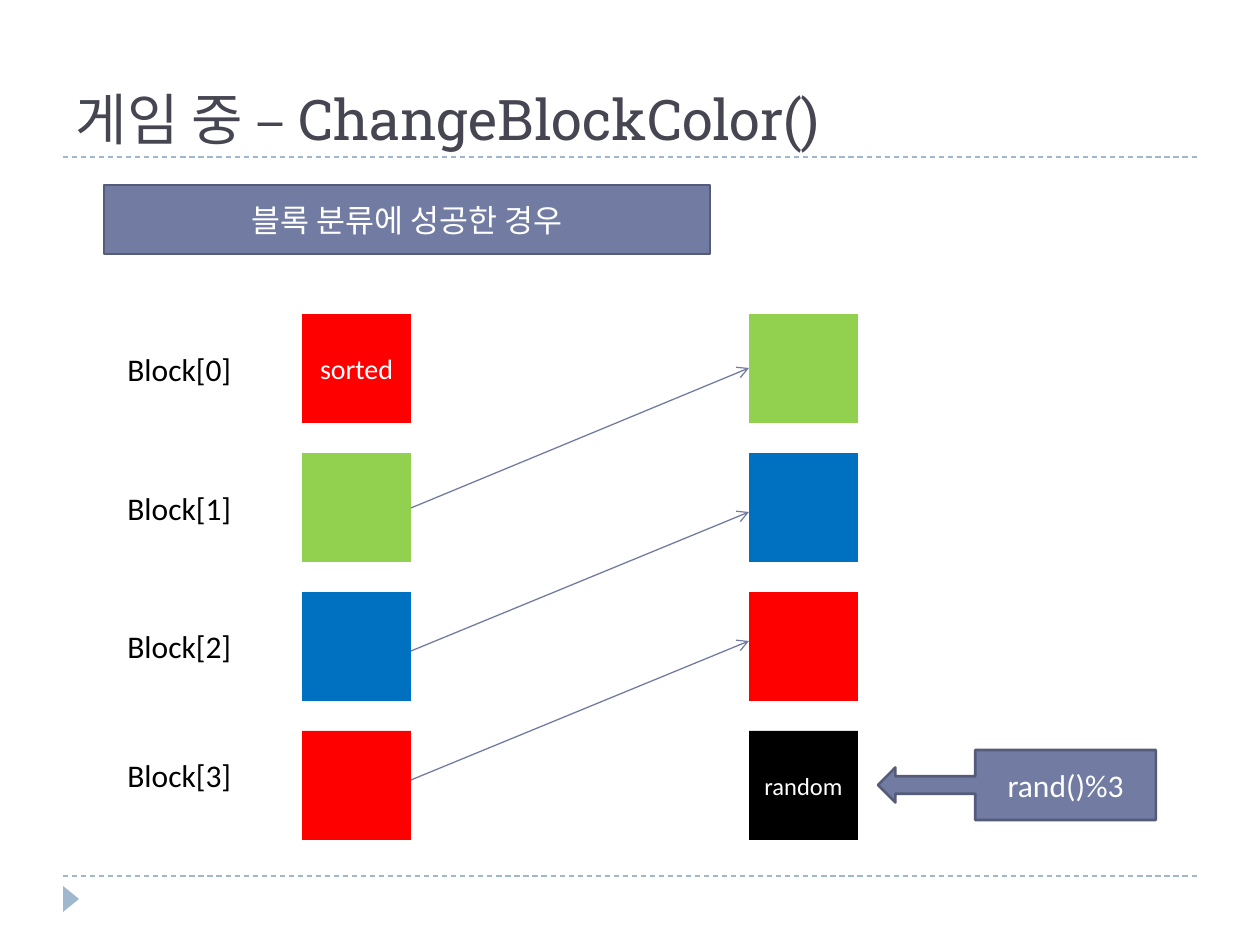
"""Build the ChangeBlockColor slide showing how blocks shift after a sort."""
from dataclasses import dataclass

from lxml import etree
from pptx import Presentation
from pptx import util as u
from pptx.dml.color import RGBColor
from pptx.enum import dml, shapes, text
from pptx.oxml.ns import qn

EMU_PER_PX = 914400 / 126


@dataclass(frozen=True)
class Theme:
    heading_font: str = "Roboto Slab"
    body_font: str = "Calibri"
    heading: str = "464653"
    ink: str = "000000"
    paper: str = "FFFFFF"
    accent: str = "727CA3"
    accent_edge: str = "545C79"
    rule: str = "9FB8CD"
    red: str = "FF0000"
    green: str = "92D050"
    blue: str = "0070C0"
    title_size: int = 32
    body_size: int = 18
    sorted_size: int = 16
    random_size: int = 14
    edge_width: float = 1.5
    thin_width: float = 0.75


@dataclass(frozen=True)
class Box:
    left: int
    top: int
    width: int
    height: int

    def emu(self) -> tuple:
        return tuple(px(n) for n in (self.left, self.top, self.width, self.height))


@dataclass(frozen=True)
class Block:
    color: str
    caption: str = ""
    size: int = 18


@dataclass(frozen=True)
class Row:
    label_top: int
    before: Block
    after: Block


@dataclass(frozen=True)
class Shift:
    start_y: int
    end_y: int


THEME = Theme()
BLOCK_SIZE, BLOCK_TOP, BLOCK_PITCH = 109, 314, 139
BEFORE_LEFT, AFTER_LEFT, LABEL_LEFT = 302, 749, 115
ROWS = [
    Row(344, Block(THEME.red, "sorted", THEME.sorted_size), Block(THEME.green)),
    Row(483, Block(THEME.green), Block(THEME.blue)),
    Row(621, Block(THEME.blue), Block(THEME.red)),
    Row(750, Block(THEME.red), Block(THEME.ink, "random", THEME.random_size)),
]
SHIFTS = [Shift(508, 368), Shift(651, 512), Shift(780, 641)]


def px(length: int) -> int:
    return round(length * EMU_PER_PX)


def rgb(color: str) -> RGBColor:
    return RGBColor.from_string(color)


def write(frame, words: str, size: int, color: str, font: str, align) -> None:
    frame.text = words
    paragraph = frame.paragraphs[0]
    paragraph.alignment = align
    for run in paragraph.runs:
        run.font.name = font
        run.font.size = u.Pt(size)
        run.font.color.rgb = rgb(color)


def add_title(slide, words: str) -> None:
    title = slide.shapes.title
    title.left, title.top, title.width, title.height = Box(63, 32, 1134, 126).emu()
    frame = title.text_frame
    frame.auto_size = text.MSO_AUTO_SIZE.NONE
    frame.vertical_anchor = text.MSO_ANCHOR.BOTTOM
    write(frame, words, THEME.title_size, THEME.heading, THEME.heading_font, text.PP_ALIGN.LEFT)


def add_filled(slide, kind, box: Box, fill: str, caption: str = "",
               size: int = THEME.body_size, edge: str = ""):
    shape = slide.shapes.add_shape(kind, *box.emu())
    shape.shadow.inherit = False
    shape.fill.solid()
    shape.fill.fore_color.rgb = rgb(fill)
    if edge:
        shape.line.color.rgb = rgb(edge)
        shape.line.width = u.Pt(THEME.edge_width)
    else:
        shape.line.fill.background()
    if caption:
        shape.text_frame.vertical_anchor = text.MSO_ANCHOR.MIDDLE
        write(shape.text_frame, caption, size, THEME.paper, THEME.body_font, text.PP_ALIGN.CENTER)
    return shape


def add_line(slide, start: tuple, end: tuple, color: str):
    line = slide.shapes.add_connector(
        shapes.MSO_CONNECTOR.STRAIGHT, *(px(n) for n in start + end))
    line.line.color.rgb = rgb(color)
    line.line.width = u.Pt(THEME.thin_width)
    etree.SubElement(line._element.spPr, qn("a:effectLst"))
    return line


def add_rule(slide, y: int) -> None:
    rule = add_line(slide, (63, y), (1197, y), THEME.rule)
    rule.line.dash_style = dml.MSO_LINE.DASH


def add_shift(slide, shift: Shift) -> None:
    arrow = add_line(slide, (BEFORE_LEFT + BLOCK_SIZE, shift.start_y),
                     (AFTER_LEFT, shift.end_y), THEME.accent)
    etree.SubElement(arrow.line._get_or_add_ln(), qn("a:tailEnd"), type="arrow")


def add_label(slide, top: int, words: str) -> None:
    label = slide.shapes.add_textbox(*Box(LABEL_LEFT, top, 134, 50).emu())
    label.text_frame.word_wrap = False
    label.text_frame.auto_size = text.MSO_AUTO_SIZE.SHAPE_TO_FIT_TEXT
    write(label.text_frame, words, THEME.body_size, THEME.ink, THEME.body_font, text.PP_ALIGN.LEFT)


def add_block(slide, left: int, index: int, block: Block) -> None:
    box = Box(left, BLOCK_TOP + index * BLOCK_PITCH, BLOCK_SIZE, BLOCK_SIZE)
    shape = add_filled(slide, shapes.MSO_SHAPE.RECTANGLE, box, block.color,
                       block.caption, block.size)
    shape.text_frame.word_wrap = True


def main() -> None:
    presentation = Presentation()
    presentation.slide_width, presentation.slide_height = px(1260), px(945)
    slide = presentation.slides.add_slide(presentation.slide_layouts[5])
    for y in (876, 157):
        add_rule(slide, y)
    marker = add_filled(slide, shapes.MSO_SHAPE.ISOSCELES_TRIANGLE,
                        Box(58, 891, 26, 16), THEME.rule)
    marker.rotation = 90
    add_title(slide, "게임 중 – ChangeBlockColor()")
    add_filled(slide, shapes.MSO_SHAPE.RECTANGLE, Box(104, 185, 606, 69), THEME.accent,
               "블록 분류에 성공한 경우", edge=THEME.accent_edge)
    for index, row in enumerate(ROWS):
        add_block(slide, BEFORE_LEFT, index, row.before)
        add_block(slide, AFTER_LEFT, index, row.after)
        add_label(slide, row.label_top, f"Block[{index}]")
    for shift in SHIFTS:
        add_shift(slide, shift)
    add_filled(slide, shapes.MSO_SHAPE.LEFT_ARROW_CALLOUT, Box(878, 750, 278, 70),
               THEME.accent, "rand()%3", edge=THEME.accent_edge)
    presentation.save("out.pptx")


if __name__ == "__main__":
    main()
